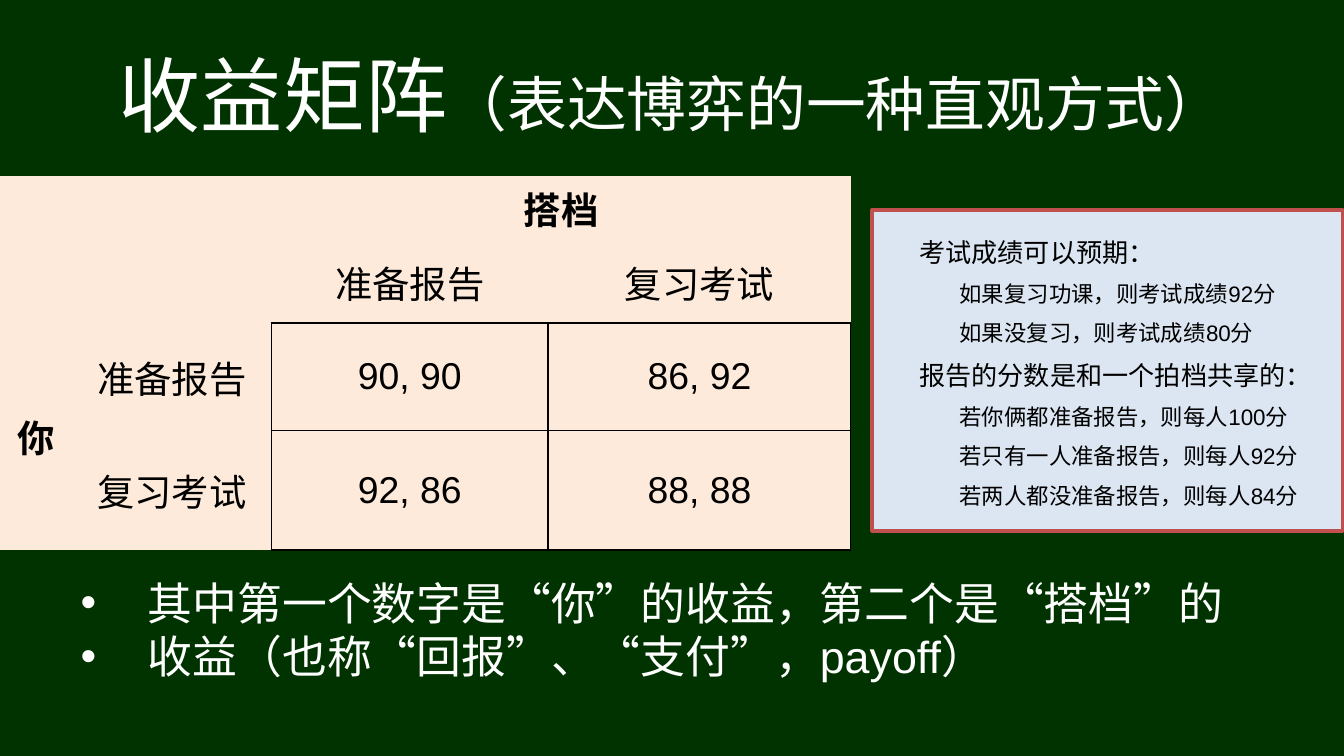
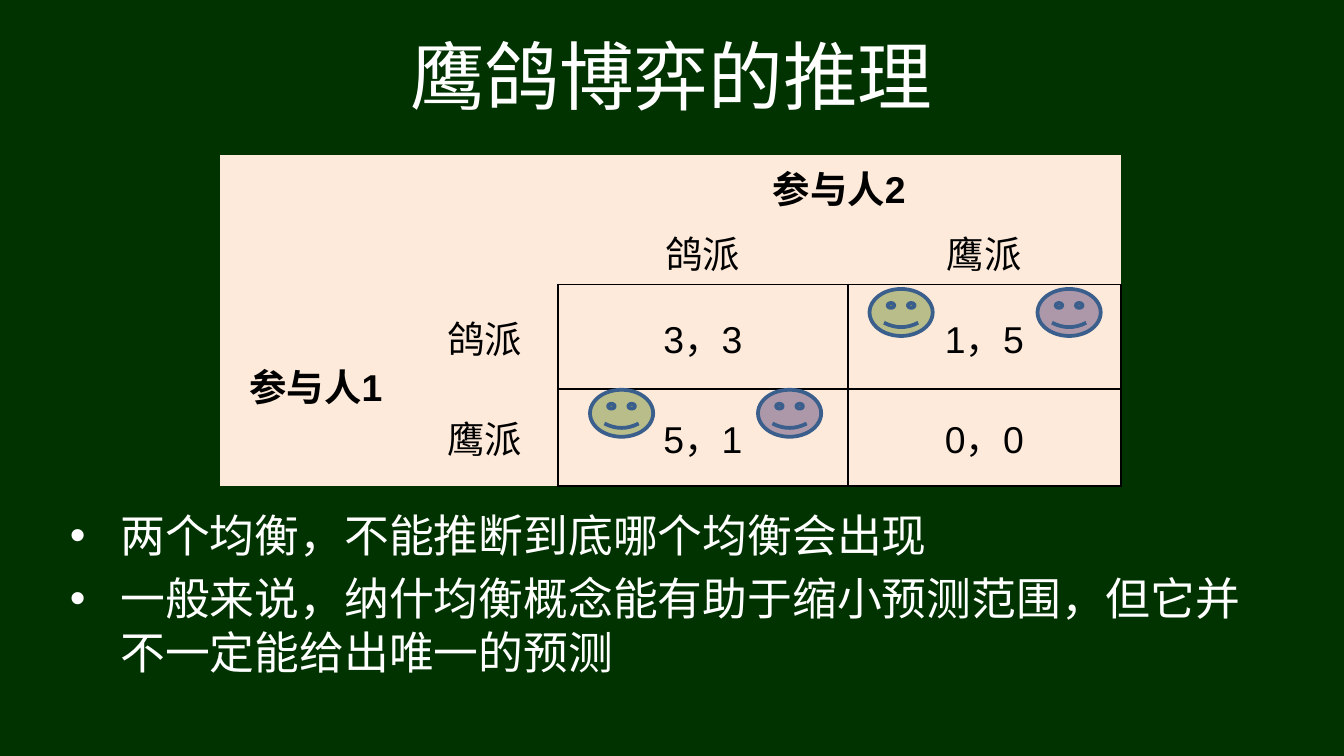
"""Build two slides on payoff matrices and the hawk-dove game."""
from dataclasses import dataclass
from typing import NamedTuple

from lxml.etree import SubElement
from pptx import Presentation
from pptx.dml.color import RGBColor
from pptx.enum.shapes import MSO_SHAPE
from pptx.enum.text import MSO_ANCHOR, MSO_AUTO_SIZE, PP_ALIGN
from pptx.oxml import parse_xml
from pptx.oxml.ns import nsdecls, qn
from pptx.util import Inches, Pt

WIDTH = Inches(10)
HEIGHT = WIDTH * 9 // 16
COLUMNS, ROWS = 100, 56.25


@dataclass(frozen=True)
class Theme:
    font: str = "Arial"
    background: str = "003300"
    light: str = "FFFFFF"
    dark: str = "000000"
    matrix: str = "FDEADA"
    note: str = "DCE6F2"
    note_line: str = "C0504D"
    face_line: str = "3A5F8C"
    row_player: str = "77933C"
    column_player: str = "604A7B"
    face_alpha: int = 51000
    title: int = 40
    title_large: int = 44
    subtitle: int = 32
    body: int = 24
    matrix_text: int = 20
    note_head: int = 14
    note_item: int = 12
    line: int = 2
    border: int = 1


THEME = Theme()


class Area(NamedTuple):
    left: float
    top: float
    width: float
    height: float


class Span(NamedTuple):
    text: str
    size: int


class Note(NamedTuple):
    text: str
    level: int


@dataclass(frozen=True)
class Bullets:
    area: Area
    indent: float
    gap: float
    items: tuple[str, ...]


@dataclass(frozen=True)
class Matrix:
    left: float
    top: float
    columns: tuple[float, ...]
    rows: tuple[float, ...]
    row_player: str
    column_player: str
    choices: tuple[str, str]
    payoffs: tuple[tuple[str, str], tuple[str, str]]


class Face(NamedTuple):
    left: float
    top: float
    fill: str


def across(columns: float) -> int:
    return round(WIDTH * columns / COLUMNS)


def down(rows: float) -> int:
    return round(HEIGHT * rows / ROWS)


def frame(area: Area) -> tuple[int, int, int, int]:
    return across(area.left), down(area.top), across(area.width), down(area.height)


def colour(code: str) -> RGBColor:
    return RGBColor.from_string(code)


def style(paragraph, size: int, code: str, bold: bool = False) -> None:
    for span in paragraph.runs:
        span.font.name = THEME.font
        span.font.size = Pt(size)
        span.font.bold = bold
        span.font.color.rgb = colour(code)


def indent(paragraph, margin: float, first: float = 0) -> None:
    properties = paragraph._p.get_or_add_pPr()
    properties.set("marL", str(across(margin)))
    properties.set("indent", str(across(first)))


def place(placeholder, area: Area) -> None:
    placeholder.left, placeholder.top, placeholder.width, placeholder.height = frame(area)
    placeholder.text_frame.auto_size = MSO_AUTO_SIZE.NONE


def draw_title(page, area: Area, spans: tuple[Span, ...]) -> None:
    box = page.shapes.title
    place(box, area)
    box.text_frame.vertical_anchor = MSO_ANCHOR.MIDDLE
    paragraph = box.text_frame.paragraphs[0]
    paragraph.alignment = PP_ALIGN.CENTER
    for span in spans:
        paragraph.add_run().text = span.text
    style(paragraph, THEME.title, THEME.light)
    for run, span in zip(paragraph.runs, spans):
        run.font.size = Pt(span.size)


def draw_bullets(page, bullets: Bullets) -> None:
    box = page.placeholders[1]
    place(box, bullets.area)
    box.text_frame.text = "\n".join(bullets.items)
    for index, paragraph in enumerate(box.text_frame.paragraphs):
        paragraph.space_before = Pt(bullets.gap if index else 0)
        indent(paragraph, bullets.indent, -bullets.indent)
        SubElement(paragraph._p.pPr, qn("a:buChar"), char="•")
        style(paragraph, THEME.body, THEME.light)


def set_borders(cell, sides: str) -> None:
    properties = cell._tc.get_or_add_tcPr()
    ink = f'<a:solidFill><a:srgbClr val="{THEME.dark}"/></a:solidFill>'
    for index, side in enumerate("LRTB"):
        paint = ink if side in sides else "<a:noFill/>"
        properties.insert(index, parse_xml(
            f'<a:ln{side} {nsdecls("a")} w="{Pt(THEME.border)}">{paint}</a:ln{side}>'))


def border_sides(row: int, column: int) -> str:
    if row >= 2 and column >= 2:
        return "LRTB"
    if row == 1 and column >= 2:
        return "B"
    return "R" if row >= 2 and column == 1 else ""


def draw_matrix(page, matrix: Matrix) -> None:
    area = Area(matrix.left, matrix.top, sum(matrix.columns), sum(matrix.rows))
    table = page.shapes.add_table(len(matrix.rows), len(matrix.columns), *frame(area)).table
    table.first_row = table.horz_banding = False
    for column, width in zip(table.columns, matrix.columns):
        column.width = across(width)
    for row, height in zip(table.rows, matrix.rows):
        row.height = down(height)
    texts = (
        ("", "", matrix.column_player, ""),
        ("", "", *matrix.choices),
        (matrix.row_player, matrix.choices[0], *matrix.payoffs[0]),
        ("", matrix.choices[1], *matrix.payoffs[1]),
    )
    for row, line in enumerate(texts):
        for column, text in enumerate(line):
            cell = table.cell(row, column)
            cell.fill.solid()
            cell.fill.fore_color.rgb = colour(THEME.matrix)
            set_borders(cell, border_sides(row, column))
            cell.margin_left = cell.margin_right = across(1)
            cell.margin_top = cell.margin_bottom = down(0.4)
            cell.vertical_anchor = MSO_ANCHOR.MIDDLE
            cell.text_frame.text = text
            paragraph = cell.text_frame.paragraphs[0]
            paragraph.alignment = PP_ALIGN.CENTER
            style(paragraph, THEME.matrix_text, THEME.dark, row == 0 or column == 0)
    table.cell(0, 2).merge(table.cell(0, 3))
    table.cell(2, 0).merge(table.cell(3, 0))


def draw_shape(page, kind: MSO_SHAPE, area: Area, fill: str, line: str):
    shape = page.shapes.add_shape(kind, *frame(area))
    shape.shadow.inherit = False
    shape.fill.solid()
    shape.fill.fore_color.rgb = colour(fill)
    shape.line.color.rgb = colour(line)
    shape.line.width = Pt(THEME.line)
    return shape


def draw_notes(page, area: Area, notes: tuple[Note, ...]) -> None:
    box = draw_shape(page, MSO_SHAPE.RECTANGLE, area, THEME.note, THEME.note_line)
    body = box.text_frame
    body.word_wrap = True
    body.vertical_anchor = MSO_ANCHOR.TOP
    body.margin_left = body.margin_right = 0
    body.margin_top = body.margin_bottom = down(1.5)
    body.text = "\n".join(note.text for note in notes)
    for index, (paragraph, note) in enumerate(zip(body.paragraphs, notes)):
        paragraph.alignment = PP_ALIGN.LEFT
        paragraph.level = note.level
        paragraph.line_spacing = 1.2
        paragraph.space_before = Pt(3.8 if index else 0)
        indent(paragraph, 3.5 if note.level == 1 else 6.5)
        style(paragraph, THEME.note_head if note.level == 1 else THEME.note_item, THEME.dark)


def draw_face(page, face: Face) -> None:
    area = Area(face.left, face.top, 4.7, 3.5)
    shape = draw_shape(page, MSO_SHAPE.SMILEY_FACE, area, face.fill, THEME.face_line)
    tint = shape._element.spPr.find(qn("a:solidFill"))[0]
    SubElement(tint, qn("a:alpha"), val=str(THEME.face_alpha))


def payoff_page(deck) -> None:
    page = deck.slides.add_slide(deck.slide_layouts[1])
    draw_title(page, Area(5, 2.3, 90, 9.4), (
        Span("收益矩阵", THEME.title_large),
        Span("（表达博弈的一种直观方式）", THEME.subtitle),
    ))
    draw_matrix(page, Matrix(
        0, 13.1, (5.4, 14.8, 20.6, 22.5), (4.3, 6.1, 8, 8.9),
        "你", "搭档", ("准备报告", "复习考试"),
        (("90, 90", "86, 92"), ("92, 86", "88, 88")),
    ))
    draw_bullets(page, Bullets(Area(5, 42.3, 89.8, 9.1), 5, 0, (
        "其中第一个数字是“你”的收益，第二个是“搭档”的",
        "收益（也称“回报”、“支付”，payoff）",
    )))
    draw_notes(page, Area(64.9, 15.6, 35, 23.9), (
        Note("考试成绩可以预期：", 1),
        Note("如果复习功课，则考试成绩92分", 2),
        Note("如果没复习，则考试成绩80分", 2),
        Note("报告的分数是和一个拍档共享的：", 1),
        Note("若你俩都准备报告，则每人100分", 2),
        Note("若只有一人准备报告，则每人92分", 2),
        Note("若两人都没准备报告，则每人84分", 2),
    ))


def hawk_dove_page(deck) -> None:
    page = deck.slides.add_slide(deck.slide_layouts[1])
    draw_title(page, Area(13.3, 2.3, 73.3, 6.5), (Span("鹰鸽博弈的推理", THEME.title),))
    draw_bullets(page, Bullets(Area(4.2, 37.3, 91.7, 15), 3.75, 4.8, (
        "两个均衡，不能推断到底哪个均衡会出现",
        "一般来说，纳什均衡概念能有助于缩小预测范围，但它并不一定能给出唯一的预测",
    )))
    draw_matrix(page, Matrix(
        16.4, 11.5, (14.2, 10.9, 21.6, 20.3), (4.1, 4.1, 7.8, 7.2),
        "参与人1", "参与人2", ("鸽派", "鹰派"),
        (("3，3", "1，5"), ("5，1", "0，0")),
    ))
    for left, top in ((43.9, 29), (64.7, 21.5)):
        for index, fill in enumerate((THEME.row_player, THEME.column_player)):
            draw_face(page, Face(left + 12.5 * index, top, fill))


def main() -> None:
    deck = Presentation()
    deck.slide_width, deck.slide_height = WIDTH, HEIGHT
    backdrop = deck.slide_master.background.fill
    backdrop.solid()
    backdrop.fore_color.rgb = colour(THEME.background)
    payoff_page(deck)
    hawk_dove_page(deck)
    deck.save("out.pptx")


if __name__ == "__main__":
    main()
